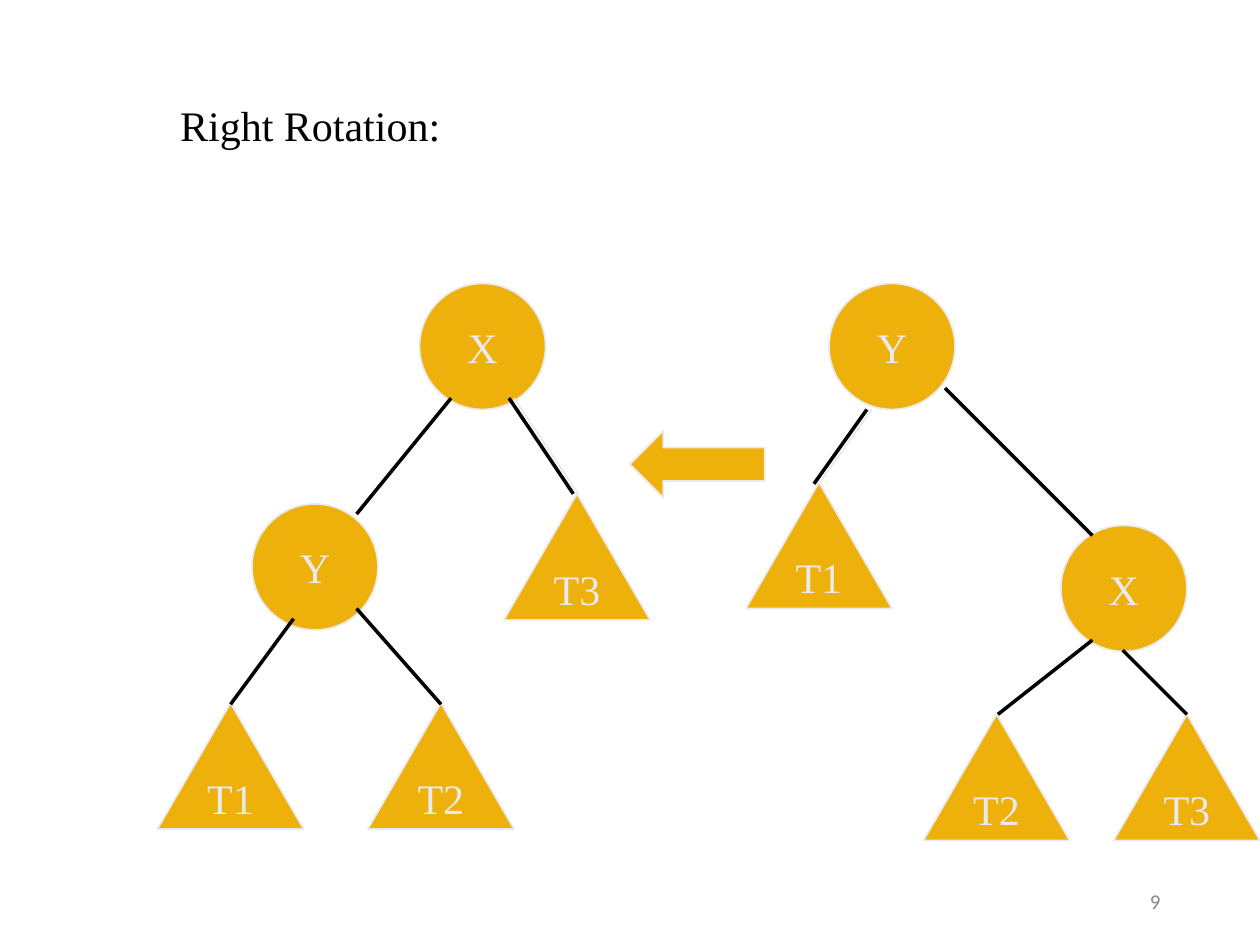
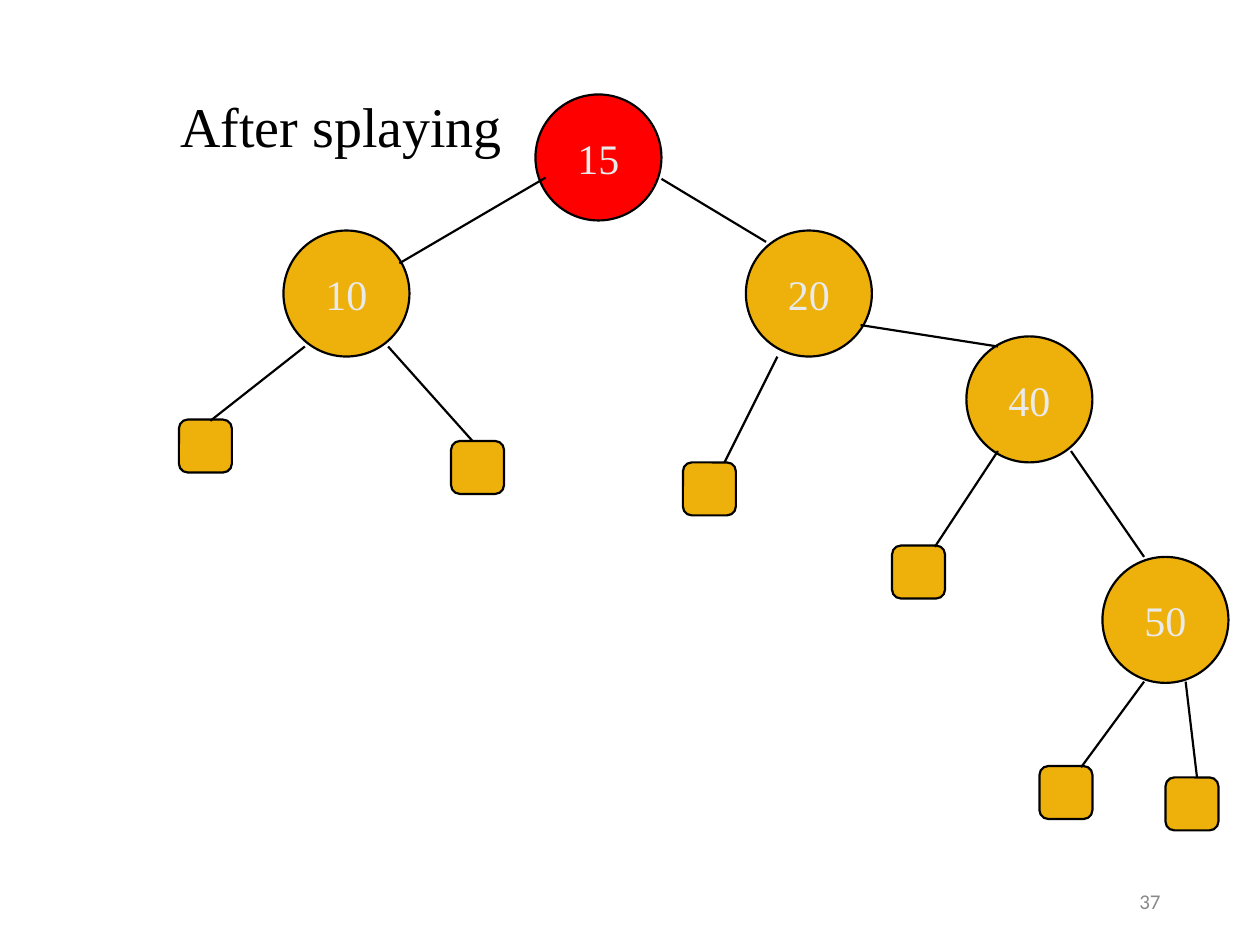
from dataclasses import dataclass

import pptx
import pptx.dml.color
import pptx.enum.shapes
import pptx.enum.text
import pptx.oxml.ns
import pptx.util
from lxml import etree

Inches = pptx.util.Inches
Pt = pptx.util.Pt
RGB = pptx.dml.color.RGBColor
SHAPE = pptx.enum.shapes.MSO_SHAPE
ALIGN = pptx.enum.text.PP_ALIGN


@dataclass(frozen=True)
class Theme:
    gold: RGB = RGB(0xEE, 0xB0, 0x0B)
    red: RGB = RGB(0xFF, 0x00, 0x00)
    black: RGB = RGB(0x00, 0x00, 0x00)
    pale: RGB = RGB(0xEA, 0xEA, 0xEA)
    grey: RGB = RGB(0x89, 0x89, 0x89)
    serif: str = "Times New Roman"
    sans: str = "Calibri"
    label_size: int = 24
    heading_size: int = 32
    number_size: int = 12
    thin: float = 1
    medium: float = 1.25
    thick: float = 2


THEME = Theme()
TITLE_ONLY = 5

# Sizes of the tree parts, in inches
NODE = (1, 1)
SUBTREE = (1.16, 1)
LEAF = (0.42, 0.42)


def write_text(frame, text, *, size=THEME.label_size, font=THEME.serif,
               color=THEME.pale, align=ALIGN.CENTER, wrap=False):
    frame.auto_size = pptx.enum.text.MSO_AUTO_SIZE.NONE
    frame.word_wrap = wrap
    frame.vertical_anchor = pptx.enum.text.MSO_ANCHOR.MIDDLE
    paragraph = frame.paragraphs[0]
    paragraph.alignment = align
    run = paragraph.add_run()
    run.text = text
    run.font.size = Pt(size)
    run.font.name = font
    run.font.color.rgb = color


def add_part(slide, kind, position, size, label="", *, fill=THEME.gold,
             outline=THEME.black, weight=THEME.medium):
    part = slide.shapes.add_shape(kind, *map(Inches, position + size))
    part.shadow.inherit = False
    part.fill.solid()
    part.fill.fore_color.rgb = fill
    part.line.color.rgb = outline
    part.line.width = Pt(weight)
    if label:
        write_text(part.text_frame, label)


def add_edge(slide, start, end, *, color=THEME.black, weight=THEME.medium):
    edge = slide.shapes.add_connector(
        pptx.enum.shapes.MSO_CONNECTOR.STRAIGHT, *map(Inches, start + end))
    edge.line.color.rgb = color
    edge.line.width = Pt(weight)
    etree.SubElement(edge._element.spPr, pptx.oxml.ns.qn("a:effectLst"))


def add_slide(deck, title, number, title_size):
    slide = deck.slides.add_slide(deck.slide_layouts[TITLE_ONLY])
    heading = slide.shapes.title
    heading.left, heading.top = Inches(1.33), Inches(0.33)
    heading.width, heading.height = Inches(8.5), Inches(1.32)
    write_text(heading.text_frame, title, size=title_size,
               color=THEME.black, align=ALIGN.LEFT, wrap=True)

    page = slide.shapes.add_textbox(
        Inches(7.06), Inches(6.95), Inches(2.25), Inches(0.4))
    write_text(page.text_frame, number, size=THEME.number_size,
               font=THEME.sans, color=THEME.grey, align=ALIGN.RIGHT, wrap=True)
    return slide


def rotation_slide(deck):
    slide = add_slide(deck, "Right Rotation:", "9", THEME.label_size)
    pale_outline = {"outline": THEME.pale, "weight": THEME.thin}

    # Tree after the rotation on the left, before it on the right
    nodes = [("X", (3.33, 2.25)), ("Y", (2, 4)),
             ("Y", (6.58, 2.25)), ("X", (8.42, 4.17))]
    for label, position in nodes:
        add_part(slide, SHAPE.OVAL, position, NODE, label, **pale_outline)

    subtrees = [("T1", (1.25, 5.58)), ("T2", (2.92, 5.58)), ("T3", (4, 3.92)),
                ("T3", (8.84, 5.67)), ("T2", (7.33, 5.67)), ("T1", (5.92, 3.83))]
    for label, position in subtrees:
        add_part(slide, SHAPE.ISOSCELES_TRIANGLE, position, SUBTREE, label,
                 **pale_outline)

    add_part(slide, SHAPE.LEFT_ARROW, (5, 3.42), (1.07, 0.53), **pale_outline)

    edges = [((2.83, 4.08), (3.58, 3.16)), ((1.83, 5.59), (2.33, 4.91)),
             ((3.5, 5.59), (2.83, 4.83)), ((8.67, 4.25), (7.5, 3.08)),
             ((7.92, 5.67), (8.67, 5.08)), ((9.42, 5.67), (8.91, 5.16))]
    for start, end in edges:
        add_edge(slide, start, end, weight=THEME.thick)

    # Edges to the upper subtrees lie over slightly shifted pale lines
    upper_edges = [((4.55, 3.92), (4.04, 3.16)), ((6.46, 3.84), (6.88, 3.25))]
    layers = [(0.04, THEME.pale, THEME.thin), (0.01, THEME.pale, THEME.thin),
              (0, THEME.black, THEME.thick)]
    for shift, color, weight in layers:
        for (x1, y1), (x2, y2) in upper_edges:
            add_edge(slide, (x1 + shift, y1), (x2 + shift, y2),
                     color=color, weight=weight)


def splaying_slide(deck):
    slide = add_slide(deck, "After splaying", "37", THEME.heading_size)

    # Keys, with the splayed one at the root
    splayed = "15"
    keys = {"20": (5.92, 1.83), splayed: (4.25, 0.75), "10": (2.25, 1.83),
            "40": (7.67, 2.67), "50": (8.75, 4.42)}
    for key, position in keys.items():
        add_part(slide, SHAPE.OVAL, position, NODE, key,
                 fill=THEME.red if key == splayed else THEME.gold)

    # Empty leaves
    leaves = [(3.58, 3.5), (5.42, 3.67), (8.25, 6.08),
              (9.25, 6.17), (7.08, 4.33), (1.42, 3.33)]
    for position in leaves:
        add_part(slide, SHAPE.ROUNDED_RECTANGLE, position, LEAF)

    edges = [((3.17, 2.09), (4.33, 1.41)), ((3.08, 2.75), (3.75, 3.5)),
             ((6.83, 2.58), (7.92, 2.75)), ((8.5, 3.58), (9.08, 4.42)),
             ((1.67, 3.34), (2.42, 2.75)), ((8.58, 6.09), (9.08, 5.41)),
             ((7.42, 4.34), (7.92, 3.58)), ((9.5, 6.17), (9.41, 5.41)),
             ((5.25, 1.42), (6.08, 1.92)), ((6.17, 2.83), (5.75, 3.67))]
    for start, end in edges:
        add_edge(slide, start, end)


def main():
    deck = pptx.Presentation()
    deck.slide_width, deck.slide_height = Inches(10), Inches(7.5)
    rotation_slide(deck)
    splaying_slide(deck)
    deck.save("out.pptx")


if __name__ == "__main__":
    main()
